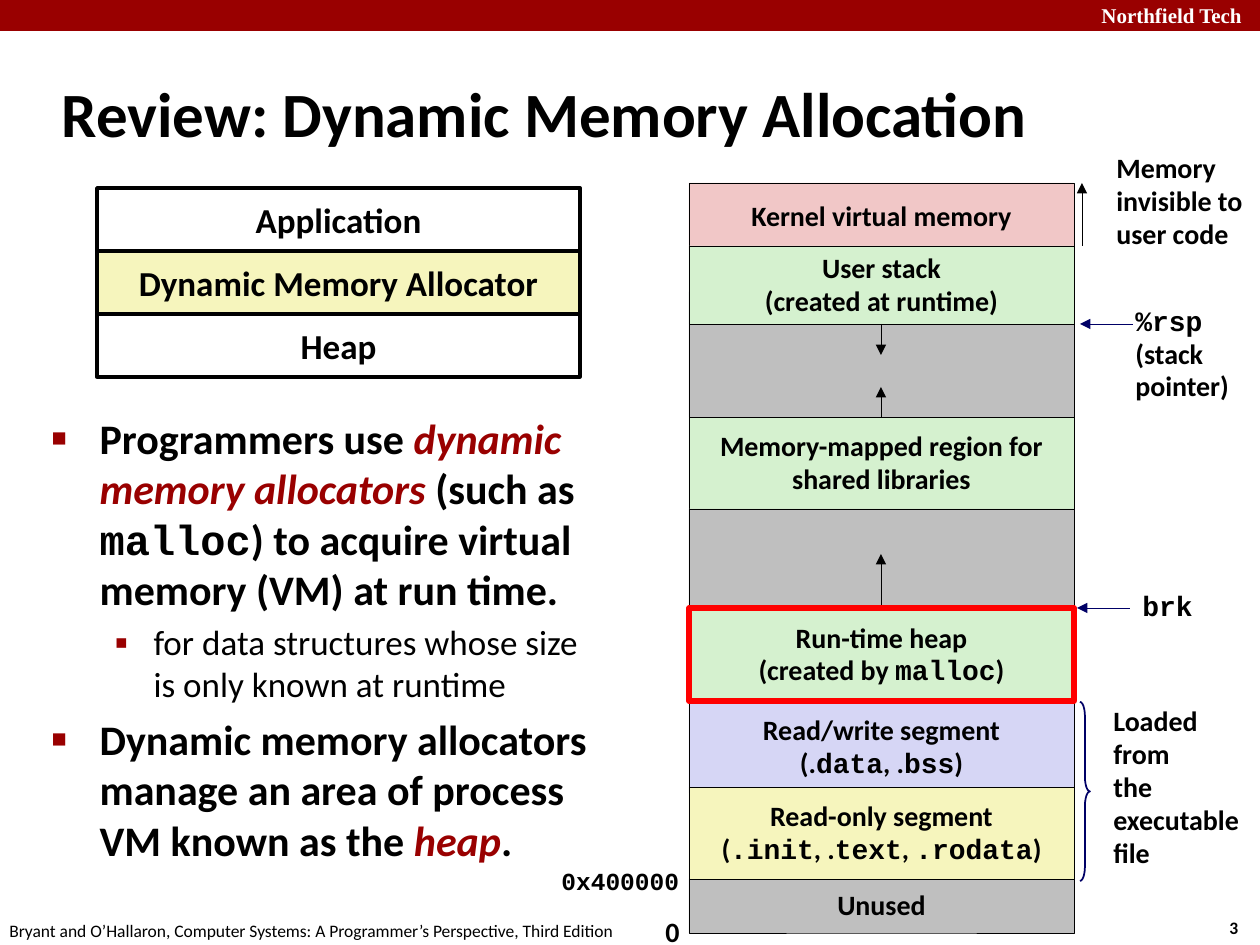
import pptx
import pptx.dml.color
import pptx.enum.shapes
import pptx.enum.text
import pptx.oxml.ns
import pptx.util
import lxml.etree

SCALE = 914400 / 126
HUES = {
    "black": "000000", "white": "FFFFFF", "crimson": "990000", "red": "FF0000",
    "navy": "000066", "pink": "F1C7C7", "green": "D5F1CF", "gray": "BFBFBF",
    "lilac": "D6D6F5", "yellow": "F6F5BD",
}
KINDS = pptx.enum.shapes.MSO_SHAPE
ALIGN = pptx.enum.text.PP_ALIGN
MIDDLE = pptx.enum.text.MSO_ANCHOR.MIDDLE


def px(*sizes):
    """Turn pixel lengths into EMU."""
    return [pptx.util.Emu(round(size * SCALE)) for size in sizes]


def hue(name):
    return pptx.dml.color.RGBColor.from_string(HUES[name])


def node(owner, tag, **attrs):
    return lxml.etree.SubElement(owner, pptx.oxml.ns.qn(tag), attrs)


def write(frame, text, size=16, bold=True, font="Calibri", tint="black",
          align=ALIGN.LEFT, space=None):
    """Add one paragraph per line; `code` is mono, *term* is crimson italic."""
    for line in text.split("\n"):
        first = frame.paragraphs[0]
        par = frame.add_paragraph() if first.runs else first
        par.alignment = align
        if space:
            par.line_spacing = 0.94 if line.startswith("`") else space
        for i, chunk in enumerate(line.split("`")):
            for j, part in enumerate(chunk.split("*")):
                if not part:
                    continue
                run = par.add_run()
                run.text = part
                run.font.size = pptx.util.Pt(size)
                run.font.bold = bold
                run.font.italic = j % 2 == 1
                run.font.name = "Courier New" if i % 2 else font
                run.font.color.rgb = hue("crimson" if j % 2 else tint)
    return par


def box(slide, spot, fill, edge=None, width=0.25, text="", **style):
    shape = slide.shapes.add_shape(KINDS.RECTANGLE, *px(*spot))
    shape.shadow.inherit = False
    shape.fill.solid()
    shape.fill.fore_color.rgb = hue(fill)
    if edge:
        shape.line.color.rgb = hue(edge)
        shape.line.width = pptx.util.Pt(width)
    else:
        shape.line.fill.background()
    if text:
        shape.text_frame.word_wrap = False
        shape.text_frame.vertical_anchor = MIDDLE
        write(shape.text_frame, text, align=ALIGN.CENTER, **style)


def label(slide, spot, text, **style):
    frame = slide.shapes.add_textbox(*px(*spot)).text_frame
    frame.word_wrap = False
    write(frame, text, **style)


def arrow(slide, start, end, tint="black"):
    straight = pptx.enum.shapes.MSO_CONNECTOR.STRAIGHT
    line = slide.shapes.add_connector(straight, *px(*start, *end))
    line.line.color.rgb = hue(tint)
    line.line.width = pptx.util.Pt(0.25)
    node(line.line._get_or_add_ln(), "a:tailEnd", type="triangle")
    node(line._element.spPr, "a:effectLst")


def brace(slide, spot):
    shape = slide.shapes.add_shape(KINDS.RIGHT_BRACE, *px(*spot))
    shape.shadow.inherit = False
    shape.adjustments[0] = 1.42
    shape.fill.background()
    shape.line.color.rgb = hue("navy")
    shape.line.width = pptx.util.Pt(1)


def place(holder, spot):
    holder.left, holder.top, holder.width, holder.height = px(*spot)
    holder.text_frame.auto_size = pptx.enum.text.MSO_AUTO_SIZE.NONE
    return holder.text_frame


def point(frame, text, level=0):
    """Add a bulleted line to the list."""
    size, mark, ratio, left, hang = [(24, "■", 60, 48, 48),
                                     (20, "▪", 110, 102, 39)][level]
    par = write(frame, text, size=size, bold=level == 0)
    par.level = level
    props = par._p.get_or_add_pPr()
    props.set("marL", str(px(left)[0]))
    props.set("indent", str(px(-hang)[0]))
    node(node(props, "a:buClr"), "a:srgbClr", val=HUES["crimson"])
    node(props, "a:buSzPct", val=str(ratio * 1000))
    node(props, "a:buChar", char=mark)


def frame_page(slide):
    """Draw the top band and the footer."""
    box(slide, (0, 0, 1260, 31), "crimson")
    label(slide, (1089, -4, 180, 38), "Northfield Tech", size=12,
          font="Times New Roman", tint="white")
    label(slide, (1217, 911, 47, 34), "3", size=10)
    label(slide, (-3, 914, 640, 34), "Bryant and O’Hallaron, Computer Systems: "
          "A Programmer’s Perspective, Third Edition", size=10, bold=False)


def fill_text(slide):
    title, body = slide.placeholders
    frame = place(title, (49, 60, 1046, 105))
    frame.vertical_anchor = MIDDLE
    write(frame, "Review: Dynamic Memory Allocation", size=36)
    frame = place(body, (39, 406, 564, 525))
    point(frame, "Programmers use *dynamic memory allocators *(such as `malloc`) "
                 "to acquire virtual memory (VM) at run time.")
    point(frame, "for data structures whose size is only known at runtime", 1)
    point(frame, "Dynamic memory allocators manage an area of process VM "
                 "known as the *heap*.")


def draw_layers(slide):
    rows = [("Application", "white"), ("Dynamic Memory Allocator", "yellow"),
            ("Heap", "white")]
    for i, (text, fill) in enumerate(rows):
        box(slide, (97, 188 + 63 * i, 483, 63), fill, "black", 2, text, size=20)


def draw_map(slide):
    """Draw the address space with its arrows and labels."""
    parts = [
        (183, 67, "pink", "Kernel virtual memory"),
        (417, 92, "green", "Memory-mapped region for\nshared libraries"),
        (509, 99, "gray", ""),
        (292, 125, "gray", ""),
        (246, 78, "green", "User stack\n(created at runtime)"),
        (879, 54, "gray", "Unused"),
        (701, 92, "lilac", "Read/write segment\n(.`data`, .`bss`)"),
        (787, 92, "yellow", "Read-only segment\n(`.init`, .`text`, `.rodata`)"),
    ]
    for top, high, fill, text in parts:
        box(slide, (689, top, 385, high), fill, "black", text=text, space=0.98)

    for x, start, end in [(881, 608, 554), (881, 418, 387), (881, 324, 355),
                          (1082, 246, 183)]:
        arrow(slide, (x, start), (x, end))
    for y, start, end in [(324, 1133, 1080), (608, 1130, 1077)]:
        arrow(slide, (start, y), (end, y), "navy")
    box(slide, (689, 608, 385, 93), "green", "red", 3,
        "Run-time heap\n(created by `malloc`)", space=0.98)
    brace(slide, (1080, 702, 10, 179))

    notes = [
        ((653, 910, 39, 47), "0", 16),
        ((1123, 300, 120, 111), "`%rsp`\n(stack\npointer)", 16),
        ((1104, 146, 159, 112), "Memory\ninvisible to\nuser code", 16),
        ((1130, 585, 76, 45), "`brk`", 16),
        ((549, 862, 144, 42), "`0x400000`", 14),
        ((1101, 699, 159, 179), "Loaded\nfrom\nthe\nexecutable\nfile", 16),
    ]
    for spot, text, size in notes:
        label(slide, spot, text, size=size, space=0.98)


def main():
    deck = pptx.Presentation()
    deck.slide_width, deck.slide_height = px(1260, 945)
    slide = deck.slides.add_slide(deck.slide_layouts[1])
    frame_page(slide)
    fill_text(slide)
    draw_layers(slide)
    draw_map(slide)
    deck.save("out.pptx")


if __name__ == "__main__":
    main()
